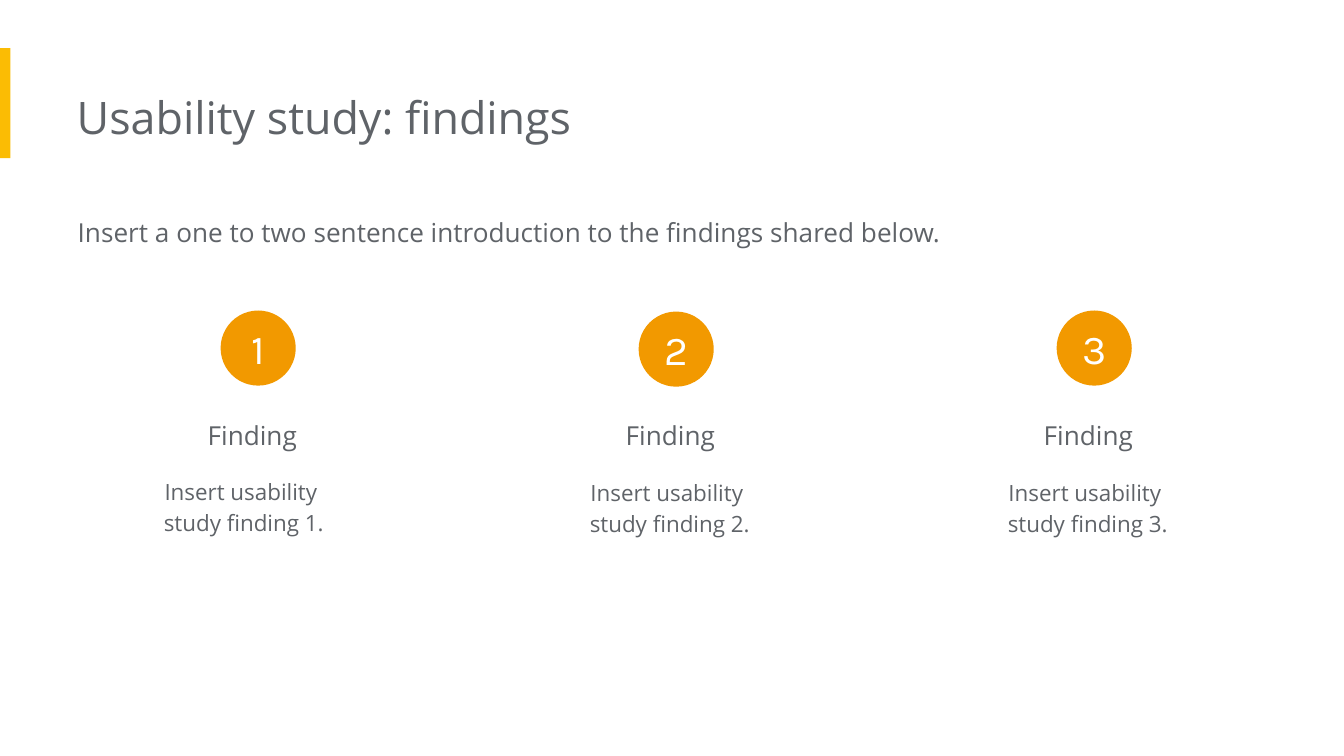
from pptx import Presentation
from pptx.dml.color import RGBColor
from pptx.enum.shapes import MSO_SHAPE
from pptx.enum.text import MSO_ANCHOR, MSO_AUTO_SIZE, PP_ALIGN
from pptx.util import Cm, Pt

RECT, OVAL = MSO_SHAPE.RECTANGLE, MSO_SHAPE.OVAL
LEFT, MID = PP_ALIGN.LEFT, PP_ALIGN.CENTER
CENTER = MSO_ANCHOR.MIDDLE
GROW = MSO_AUTO_SIZE.SHAPE_TO_FIT_TEXT

THEME = {
    "text": "5F6368", "bar": "FBBC04", "badge": "F29900", "light": "FFFFFF",
    "font": "Open Sans", "digit": "Karla",
    "title": 24, "number": 22, "lead": 14, "body": 12,
}

TITLE = "Usability study: findings"
INTRO = "Insert a one to two sentence introduction to the findings shared below."
# number, heading, detail, badge top, detail left within column, detail top
FINDINGS = [
    ("1", "Finding", "Insert usability \nstudy finding 1.", 5.87, 1.98, 8.71),
    ("2", "Finding", "Insert usability \nstudy finding 2.", 5.89, 2.13, 8.74),
    ("3", "Finding", "Insert usability \nstudy finding 3.", 5.87, 2.13, 8.74),
]
PITCH = 7.9
BADGE = 1.42


def write(frame, text, size="body", font="font", color="text", align=LEFT,
          space=None):
    para = frame.paragraphs[0]
    para.text = text
    para.alignment = align
    if space:
        para.line_spacing = space
    for run in para.runs:
        run.font.size = Pt(THEME[size])
        run.font.name = THEME[font]
        run.font.color.rgb = RGBColor.from_string(THEME[color])


def add_text(slide, text, box, **style):
    frame = slide.shapes.add_textbox(*map(Cm, box)).text_frame
    frame.word_wrap = True
    frame.auto_size = GROW
    frame.margin_left = 0
    frame.margin_top = frame.margin_right = frame.margin_bottom = Cm(0.25)
    write(frame, text, **style)


def add_shape(slide, kind, box, color):
    shape = slide.shapes.add_shape(kind, *map(Cm, box))
    shape.shadow.inherit = False
    shape.fill.solid()
    shape.fill.fore_color.rgb = RGBColor.from_string(THEME[color])
    shape.line.fill.background()
    return shape


def add_badge(slide, text, left, top):
    badge = add_shape(slide, OVAL, (left, top, BADGE, BADGE), "badge")
    frame = badge.text_frame
    frame.margin_left = frame.margin_right = 0
    frame.margin_top = frame.margin_bottom = 0
    frame.vertical_anchor = CENTER
    write(frame, text, size="number", font="digit", color="light", align=MID)


def main():
    deck = Presentation()
    deck.slide_width, deck.slide_height = Cm(25.4), Cm(14.29)
    slide = deck.slides.add_slide(deck.slide_layouts[6])

    add_shape(slide, RECT, (0, 0.91, 0.2, 2.08), "bar")
    add_text(slide, TITLE, (1.45, 1.45, 17.09, 1.55), size="title")
    add_text(slide, INTRO, (1.47, 3.76, 18.03, 1.12), size="lead", space=1.15)

    for col, (number, head, detail, top, inset, low) in enumerate(FINDINGS):
        left = col * PITCH
        add_badge(slide, number, left + 4.17, top)
        add_text(slide, head, (left + 2.29, 7.39, 5.21, 1.12),
                 size="lead", align=MID, space=1.5)
        add_text(slide, detail, (left + inset, low, 5.51, 1.63),
                 align=MID, space=1.15)

    deck.save("out.pptx")


if __name__ == "__main__":
    main()
